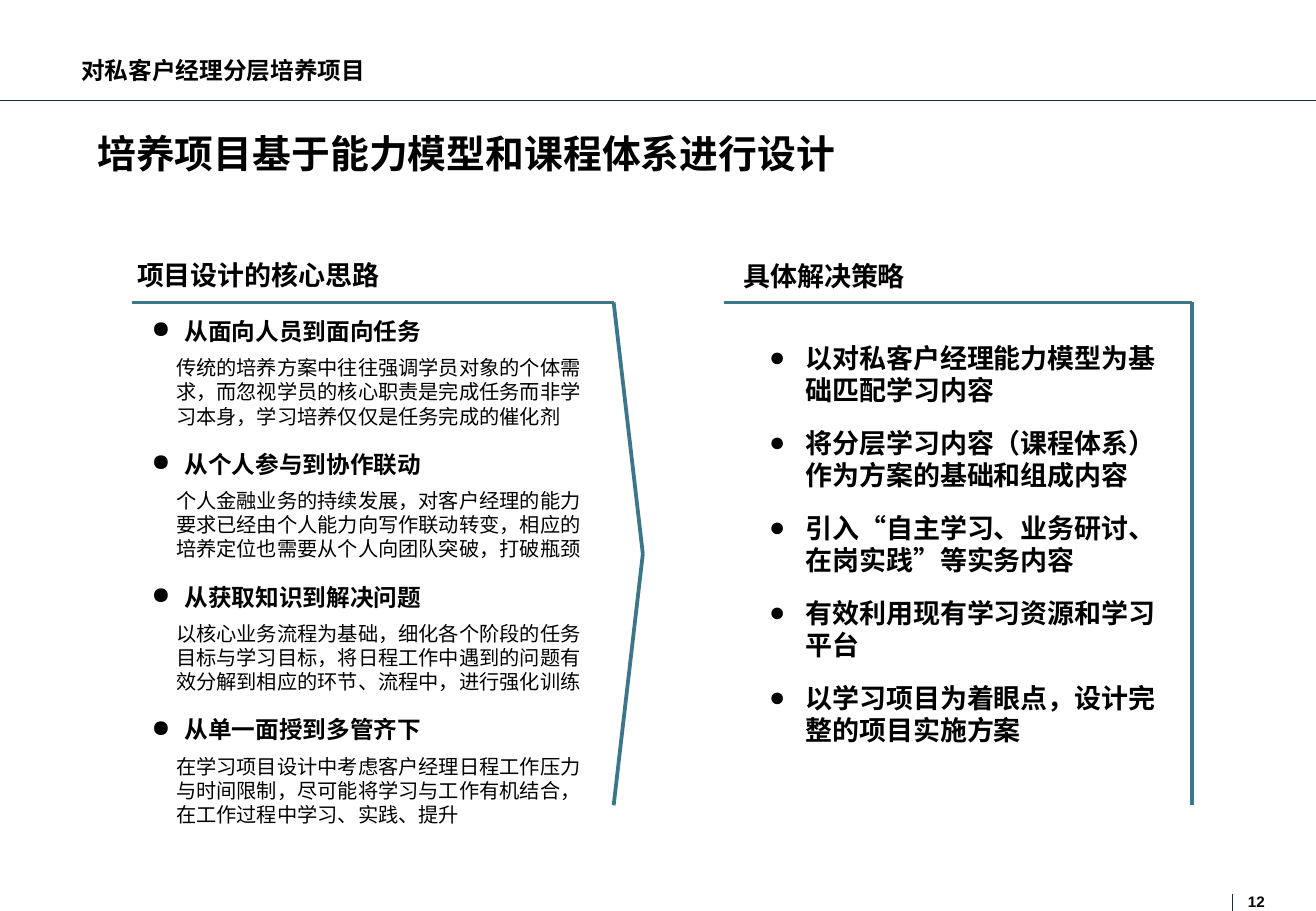
"""Build the slide on the design of the training programme for client managers."""
import pptx
import pptx.dml.color
import pptx.enum.lang
import pptx.enum.shapes
import pptx.enum.text
import pptx.oxml
import pptx.oxml.ns
import pptx.util

BLACK = pptx.dml.color.RGBColor(0x00, 0x00, 0x00)
TEAL = pptx.dml.color.RGBColor(0x3C, 0x76, 0x8C)
INK = pptx.dml.color.RGBColor(0x17, 0x2F, 0x37)
CJK = "Noto Sans CJK SC"
MIDDLE = pptx.enum.text.MSO_ANCHOR.MIDDLE
TOP = pptx.enum.text.MSO_ANCHOR.TOP

deck = pptx.Presentation()
deck.slide_width = pptx.util.Inches(10.83)
deck.slide_height = pptx.util.Inches(7.5)
column = deck.slide_width / 100
row = deck.slide_height / 100
page = deck.slides.add_slide(deck.slide_layouts[1])


def fill_box(box, area, paragraphs, inset=True, anchor=TOP, wrap=True):
    """Place a box by percent of the slide and write its paragraphs."""
    left, top, width, height = area
    places = {"left": left * column, "top": top * row,
              "width": width * column, "height": height * row}
    for name, value in places.items():
        setattr(box, name, round(value))
    frame = box.text_frame
    settings = {"word_wrap": wrap, "vertical_anchor": anchor,
                "auto_size": pptx.enum.text.MSO_AUTO_SIZE.NONE}
    if not inset:
        settings.update(dict.fromkeys(
            ("margin_left", "margin_top", "margin_right", "margin_bottom"), 0))
    for name, value in settings.items():
        setattr(frame, name, value)
    for index, (text, style) in enumerate(paragraphs):
        para = frame.add_paragraph() if index else frame.paragraphs[0]
        properties = para._p.get_or_add_pPr()
        properties.set("marL", str(pptx.util.Inches(style.get("indent", 0))))
        properties.set("indent", str(-pptx.util.Inches(style.get("hang", 0))))
        mark = '<a:buChar {} char="●"/>' if "hang" in style else "<a:buNone {}/>"
        properties.append(pptx.oxml.parse_xml(
            mark.format(pptx.oxml.ns.nsdecls("a"))))
        layout = {"alignment": pptx.enum.text.PP_ALIGN.LEFT,
                  "space_before": pptx.util.Pt(style.get("before", 0) if index else 0),
                  "line_spacing": style.get("spacing", 1.0)}
        for name, value in layout.items():
            setattr(para, name, value)
        span = para.add_run()
        span.text = text
        face = style.get("face", "Arial")
        look = {"size": pptx.util.Pt(style["size"]), "name": face,
                "bold": style.get("bold", True),
                "language_id": pptx.enum.lang.MSO_LANGUAGE_ID.SIMPLIFIED_CHINESE}
        for name, value in look.items():
            setattr(span.font, name, value)
        span.font.color.rgb = BLACK
        if face == CJK:
            span.font._element.append(pptx.oxml.parse_xml(
                f'<a:ea {pptx.oxml.ns.nsdecls("a")} typeface="{CJK}"/>'))


def new_box():
    """Add an empty text box."""
    return page.shapes.add_textbox(0, 0, 0, 0)


outlines = [
    ([(0, 11.07), (100, 11.07)], INK, 0.75),
    ([(93.63, 98.13), (93.63, 100)], INK, 0.75),
    ([(10.06, 33.2), (46.63, 33.2), (48.85, 60.8), (46.63, 88.4)], TEAL, 2.25),
    ([(55.03, 33.2), (90.58, 33.2), (90.58, 88.4)], TEAL, 2.25),
]
for points, colour, weight in outlines:
    for start, end in zip(points, points[1:]):
        line = page.shapes.add_connector(
            pptx.enum.shapes.MSO_CONNECTOR.STRAIGHT,
            round(start[0] * column), round(start[1] * row),
            round(end[0] * column), round(end[1] * row))
        line.line.color.rgb = colour
        line.line.width = pptx.util.Pt(weight)
        line._element.spPr.append(pptx.oxml.parse_xml(
            f'<a:effectLst {pptx.oxml.ns.nsdecls("a")}/>'))

fill_box(page.shapes.title, (7.39, 14.67, 86.43, 9.6),
         [("培养项目基于能力模型和课程体系进行设计",
           {"size": 23, "face": CJK, "spacing": 0.93})], inset=False)
fill_box(new_box(), (5.26, 5.6, 25.3, 4.27),
         [("对私客户经理分层培养项目", {"size": 14, "face": CJK})],
         anchor=MIDDLE, wrap=False)
fill_box(new_box(), (94.83, 98, 1.57, 1.87), [("12", {"size": 9})],
         inset=False, wrap=False)

headings = [("项目设计的核心思路", (9.51, 27.73, 33.8, 4.93)),
            ("具体解决策略", (55.59, 27.87, 25.76, 4.93))]
for heading, area in headings:
    fill_box(new_box(), area, [(heading, {"size": 16})])

ideas = [
    ("从面向人员到面向任务",
     "传统的培养方案中往往强调学员对象的个体需求，而忽视学员的核心职责是完成任务而非学习本身，学习培养仅仅是任务完成的催化剂"),
    ("从个人参与到协作联动",
     "个人金融业务的持续发展，对客户经理的能力要求已经由个人能力向写作联动转变，相应的培养定位也需要从个人向团队突破，打破瓶颈"),
    ("从获取知识到解决问题",
     "以核心业务流程为基础，细化各个阶段的任务目标与学习目标，将日程工作中遇到的问题有效分解到相应的环节、流程中，进行强化训练"),
    ("从单一面授到多管齐下",
     "在学习项目设计中考虑客户经理日程工作压力与时间限制，尽可能将学习与工作有机结合，在工作过程中学习、实践、提升"),
]
for number, (idea, detail) in enumerate(ideas):
    fill_box(new_box(), (10.62, 34.13 + 14.58 * number, 35.55, 13.73),
             [(idea, {"size": 14, "indent": 0.27, "hang": 0.27}),
              (detail, {"size": 12, "bold": False, "indent": 0.2, "before": 6})])

strategies = [
    "以对私客户经理能力模型为基础匹配学习内容",
    "将分层学习内容（课程体系）作为方案的基础和组成内容",
    "引入“自主学习、业务研讨、在岗实践”等实务内容",
    "有效利用现有学习资源和学习平台",
    "以学习项目为着眼点，设计完整的项目实施方案",
]
strategy_style = {"size": 16, "indent": 0.3, "hang": 0.3, "before": 12}
fill_box(page.placeholders[1], (57.53, 36.8, 31.3, 46.27),
         [(strategy, strategy_style) for strategy in strategies])

deck.save("out.pptx")
